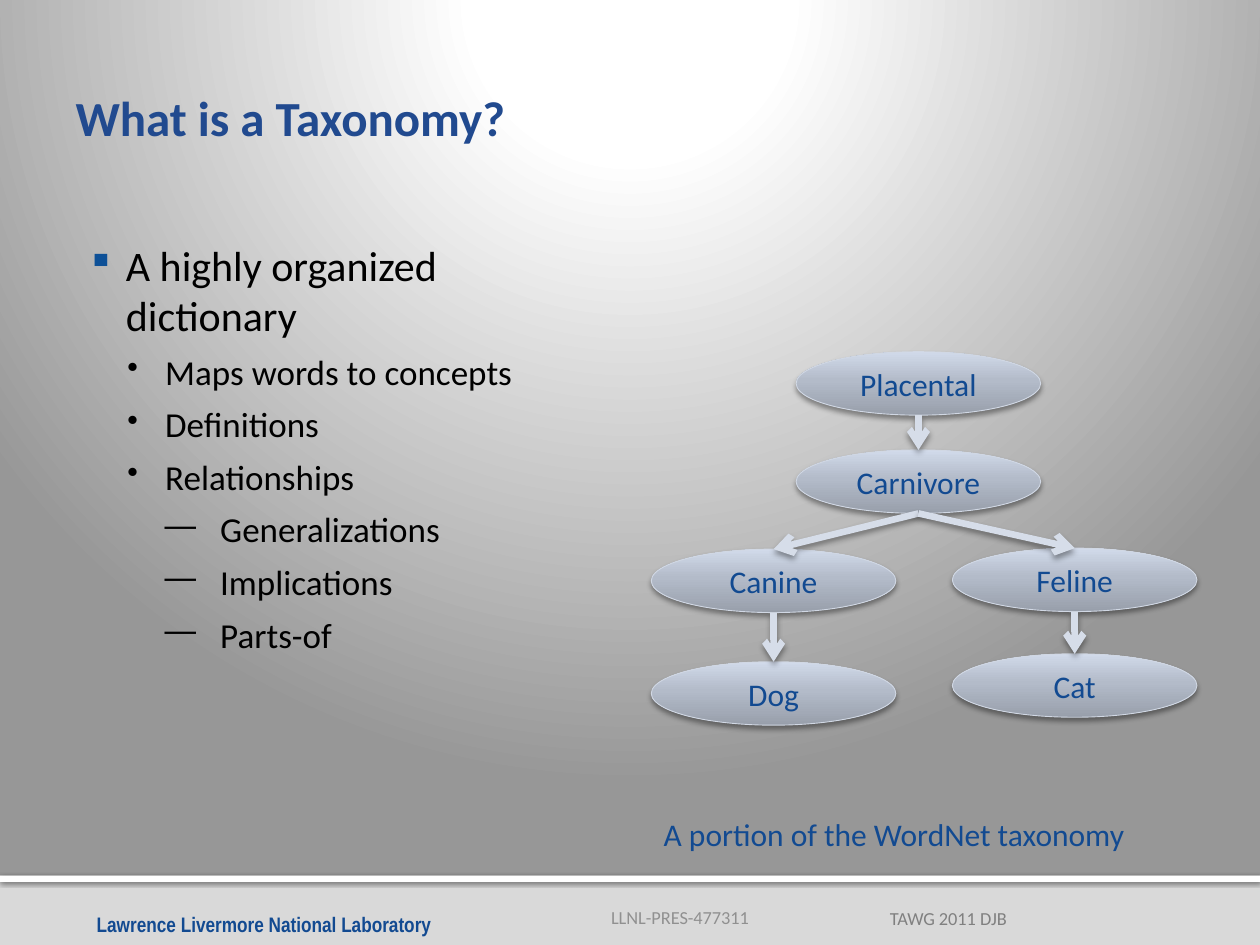
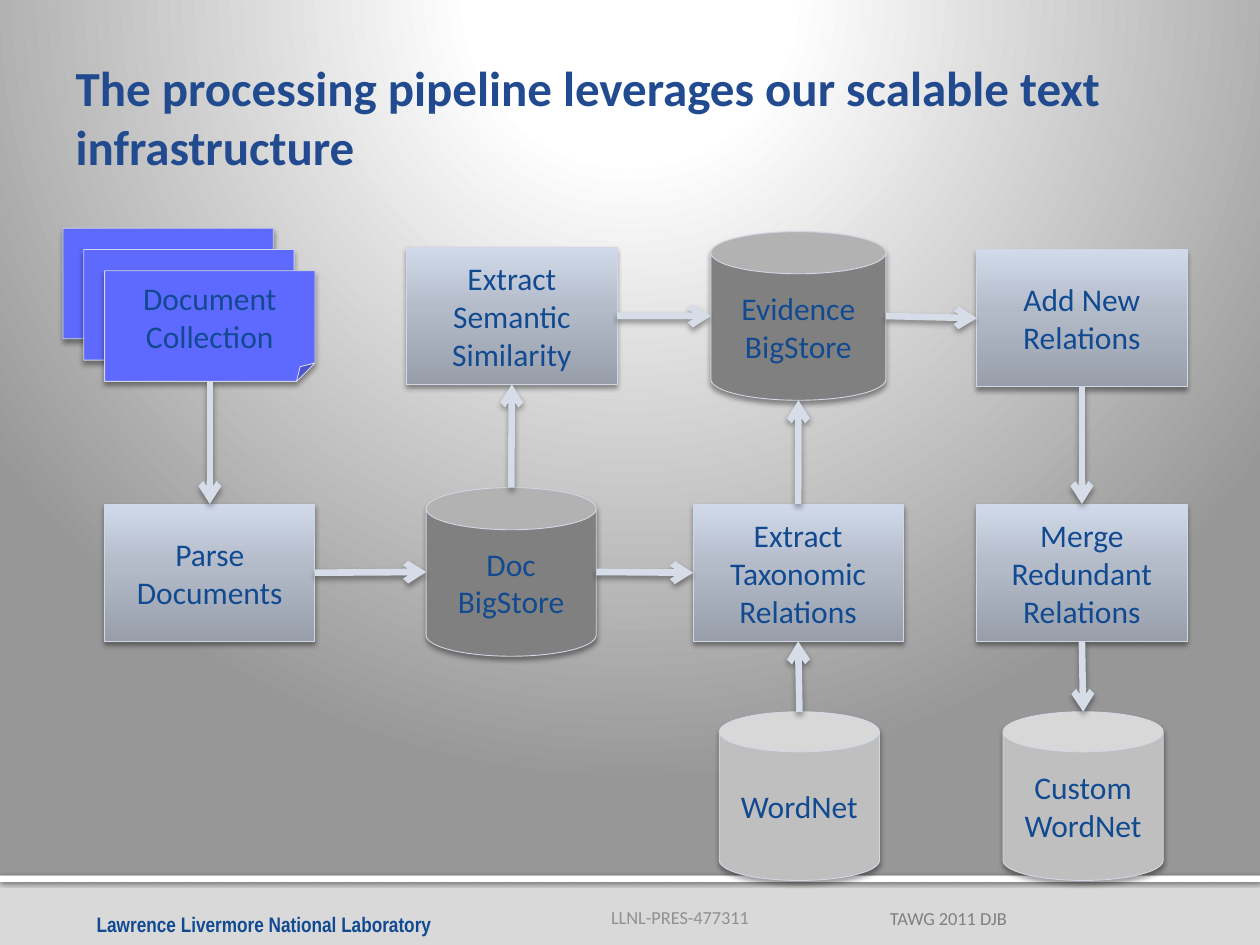
from lxml import etree
from pptx import Presentation
from pptx.dml.color import RGBColor
from pptx.enum.shapes import MSO_CONNECTOR, MSO_SHAPE
from pptx.enum.text import MSO_ANCHOR, PP_ALIGN
from pptx.oxml.ns import qn
from pptx.util import Cm, Pt

# Shared look
FONT = "Calibri"
INK = "124A91"
TITLE_INK = "214A8F"
EDGE = "D1D8E4"
ARROW = "D6DDE9"
DOCUMENT_FILL = "5E69FF"
STORE_FILL = "808080"
WORDNET_FILL = "BFBFBF"
STEEL = [(0, "989FAB"), (55, "B3BBC9"), (100, "D1DAEA")]
BACKDROP = [(0, "FFFFFF"), (20, "FFFFFF"), (100, "979797")]

TOP, LEFT, BOTTOM, RIGHT = range(4)
FOUR_SIDED = (MSO_SHAPE.RECTANGLE, MSO_SHAPE.FOLDED_CORNER)
TITLE_ONLY = 5

# Bullet character, size, left indent and hanging indent (cm) by level
BULLETS = [("▪", 24, 1.12, 0.79), ("•", 20, 1.91, 0.76), ("—", 20, 3.02, 1.12)]


def color(hex_string):
    return RGBColor.from_string(hex_string)


def area(left, top, width, height):
    return Cm(left), Cm(top), Cm(width), Cm(height)


def add_element(parent, tag, **attributes):
    element = etree.SubElement(parent, qn(tag))
    for name, value in attributes.items():
        element.set(name, str(value))
    return element


def set_stops(gradient, stops):
    """Replace everything in a gradient by the given stops."""
    for child in list(gradient):
        gradient.remove(child)
    stop_list = add_element(gradient, "a:gsLst")
    for position, shade in stops:
        stop = add_element(stop_list, "a:gs", pos=position * 1000)
        add_element(stop, "a:srgbClr", val=shade)


def add_shadow(effects, opacity=38, blur=3.1, distance=2):
    shadow = add_element(effects, "a:outerShdw", blurRad=Pt(blur), dist=Pt(distance),
                         dir=5400000, rotWithShape=0)
    black = add_element(shadow, "a:srgbClr", val="000000")
    add_element(black, "a:alpha", val=opacity * 1000)


def set_backdrop(master):
    master.background.fill.gradient()
    gradient = master.element.xpath("p:cSld/p:bg//a:gradFill")[0]
    set_stops(gradient, BACKDROP)
    circle = add_element(gradient, "a:path", path="circle")
    add_element(circle, "a:fillToRect", l=10000, t=-25000, r=10000, b=125000)


def write(frame, text, size=18, ink=INK, bold=False, font=FONT, align=PP_ALIGN.LEFT):
    frame.text = text
    for para in frame.paragraphs:
        para.alignment = align
        for span in para.runs:
            span.font.name = font
            span.font.size = Pt(size)
            span.font.bold = bold
            span.font.color.rgb = color(ink)


def add_label(page, place, text, wrap=True, **style):
    frame = page.shapes.add_textbox(*area(*place)).text_frame
    frame.word_wrap = wrap
    write(frame, text, **style)
    return frame


def add_block(page, kind, place, fill, text="", edge=EDGE, **shadow):
    """Add a shadowed shape; fill is a colour or a list of vertical gradient stops."""
    block = page.shapes.add_shape(kind, *area(*place))
    if isinstance(fill, str):
        block.fill.solid()
        block.fill.fore_color.rgb = color(fill)
    else:
        block.fill.gradient()
        gradient = block.element.spPr.find(qn("a:gradFill"))
        set_stops(gradient, fill)
        add_element(gradient, "a:lin", ang=16200000, scaled=0)
    if edge:
        block.line.color.rgb = color(edge)
        block.line.width = Pt(0.5)
    else:
        block.line.fill.background()
    block.shadow.inherit = False
    add_shadow(block.element.spPr.find(qn("a:effectLst")), **shadow)
    if text:
        frame = block.text_frame
        frame.word_wrap = True
        frame.vertical_anchor = MSO_ANCHOR.MIDDLE
        write(frame, text, align=PP_ALIGN.CENTER)
    return block


def side_middle(block, side):
    x = {LEFT: 0, RIGHT: block.width}.get(side, block.width // 2)
    y = {TOP: 0, BOTTOM: block.height}.get(side, block.height // 2)
    return block.left + x, block.top + y


def add_arrow(page, source, source_side, target, target_side):
    arrow = page.shapes.add_connector(
        MSO_CONNECTOR.STRAIGHT,
        *side_middle(source, source_side), *side_middle(target, target_side))
    if source.auto_shape_type in FOUR_SIDED:
        arrow.begin_connect(source, source_side)
    if target.auto_shape_type in FOUR_SIDED:
        arrow.end_connect(target, target_side)
    arrow.line.color.rgb = color(ARROW)
    arrow.line.width = Pt(3.78)
    properties = arrow.element.spPr
    add_element(properties.find(qn("a:ln")), "a:tailEnd", type="arrow")
    add_shadow(add_element(properties, "a:effectLst"), blur=3.5)


def add_bullets(page, place, items):
    frame = page.shapes.add_textbox(*area(*place)).text_frame
    frame.word_wrap = True
    frame.margin_left, frame.margin_top = Cm(0.15), Cm(0.25)
    for index, (level, text) in enumerate(items):
        para = frame.add_paragraph() if index else frame.paragraphs[0]
        para.text = text
        para.level = level
        mark, size, indent, hanging = BULLETS[level]
        properties = para._p.get_or_add_pPr()
        properties.set("marL", str(Cm(indent)))
        properties.set("indent", str(-Cm(hanging)))
        if level == 0:
            add_element(add_element(properties, "a:buClr"), "a:srgbClr", val="0D5097")
        add_element(properties, "a:buSzPct", val=90000)
        add_element(properties, "a:buChar", char=mark)
        para.space_after = Pt(6)
        for span in para.runs:
            span.font.name = FONT
            span.font.size = Pt(size)
            span.font.color.rgb = color("000000")


def add_page(deck, title):
    """Add a page with its footer band and title."""
    page = deck.slides.add_slide(deck.slide_layouts[TITLE_ONLY])

    # Footer band
    add_block(page, MSO_SHAPE.RECTANGLE, (0, 17.65, 25.4, 1.4), "D9D9D9", edge=None)
    add_block(page, MSO_SHAPE.RECTANGLE, (0, 17.65, 25.4, 0.13), "FFFFFF", edge=None,
              opacity=60, blur=2.5, distance=0.8)
    add_label(page, (1.7, 18.26, 8.48, 0.76), "Lawrence Livermore National Laboratory",
              size=12, bold=True, font="Arial Narrow")
    event = add_label(page, (15.57, 17.98, 4.98, 0.76), "TAWG 2011 DJB",
                      size=10.5, ink="808080", align=PP_ALIGN.RIGHT)
    event.vertical_anchor = MSO_ANCHOR.BOTTOM
    event.margin_bottom = 0
    add_label(page, (12.07, 18.14, 3.33, 0.71), "LLNL-PRES-477311", wrap=False,
              size=10.5, ink="909090")

    # Title
    heading = page.shapes.title
    heading.left, heading.top, heading.width, heading.height = area(1.27, 0.61, 22.86, 3.48)
    frame = heading.text_frame
    frame.word_wrap = True
    frame.vertical_anchor = MSO_ANCHOR.MIDDLE
    frame.margin_right = Cm(0.13)
    write(frame, title, size=28, ink=TITLE_INK, bold=True)
    return page


def build_taxonomy(deck):
    page = add_page(deck, "What is a Taxonomy?")
    add_bullets(page, (1.27, 4.57, 11.43, 12.57), [
        (0, "A highly organized dictionary"),
        (1, "Maps words to concepts"),
        (1, "Definitions"),
        (1, "Relationships"),
        (2, "Generalizations"),
        (2, "Implications"),
        (2, "Parts-of"),
    ])
    add_label(page, (13.13, 16.31, 11, 1.02), "A portion of the WordNet taxonomy")

    # Concept tree
    positions = {
        "Placental": (16.05, 7.09),
        "Carnivore": (16.05, 9.07),
        "Feline": (19.2, 11.05),
        "Cat": (19.2, 13.18),
        "Canine": (13.13, 11.07),
        "Dog": (13.13, 13.34),
    }
    concepts = {name: add_block(page, MSO_SHAPE.OVAL, (*corner, 4.93, 1.28), STEEL, name)
                for name, corner in positions.items()}
    for parent, child in [("Placental", "Carnivore"), ("Carnivore", "Canine"),
                          ("Carnivore", "Feline"), ("Canine", "Dog"), ("Feline", "Cat")]:
        add_arrow(page, concepts[parent], BOTTOM, concepts[child], TOP)


def build_pipeline(deck):
    page = add_page(deck, "The processing pipeline leverages our scalable text infrastructure")

    def add_step(left, top, text):
        return add_block(page, MSO_SHAPE.RECTANGLE, (left, top, 4.24, 2.77), STEEL, text)

    def add_store(left, top, width, fill, text):
        return add_block(page, MSO_SHAPE.CAN, (left, top, width, 3.4), fill, text)

    # Stack of documents, the front one labelled
    for layer, text in enumerate(["", "", "Document Collection"]):
        documents = add_block(page, MSO_SHAPE.FOLDED_CORNER,
                              (1.27 + 0.42 * layer, 4.6 + 0.43 * layer, 4.24, 2.23),
                              DOCUMENT_FILL, text)

    # Stores
    doc_store = add_store(8.59, 9.83, 3.43, STORE_FILL, "Doc BigStore")
    evidence = add_store(14.33, 4.67, 3.53, STORE_FILL, "Evidence\nBigStore")
    wordnet = add_store(14.5, 14.35, 3.23, WORDNET_FILL, "WordNet")
    custom = add_store(20.22, 14.35, 3.23, WORDNET_FILL, "Custom WordNet")

    # Processing steps
    parse_step = add_step(2.11, 10.16, "Parse Documents")
    similarity = add_step(8.2, 4.98, "Extract Semantic Similarity")
    taxonomic = add_step(13.97, 10.16, "Extract Taxonomic Relations")
    add_new = add_step(19.69, 5.03, "Add New Relations")
    merge = add_step(19.69, 10.16, "Merge Redundant Relations")

    # Flow
    for flow in [
        (documents, BOTTOM, parse_step, TOP),
        (parse_step, RIGHT, doc_store, LEFT),
        (doc_store, RIGHT, taxonomic, LEFT),
        (doc_store, TOP, similarity, BOTTOM),
        (similarity, RIGHT, evidence, LEFT),
        (taxonomic, TOP, evidence, BOTTOM),
        (evidence, RIGHT, add_new, LEFT),
        (add_new, BOTTOM, merge, TOP),
        (merge, BOTTOM, custom, TOP),
        (wordnet, TOP, taxonomic, BOTTOM),
    ]:
        add_arrow(page, *flow)


def main():
    deck = Presentation()
    deck.slide_width, deck.slide_height = Cm(25.4), Cm(19.05)
    set_backdrop(deck.slide_master)
    build_taxonomy(deck)
    build_pipeline(deck)
    deck.save("out.pptx")


if __name__ == "__main__":
    main()
